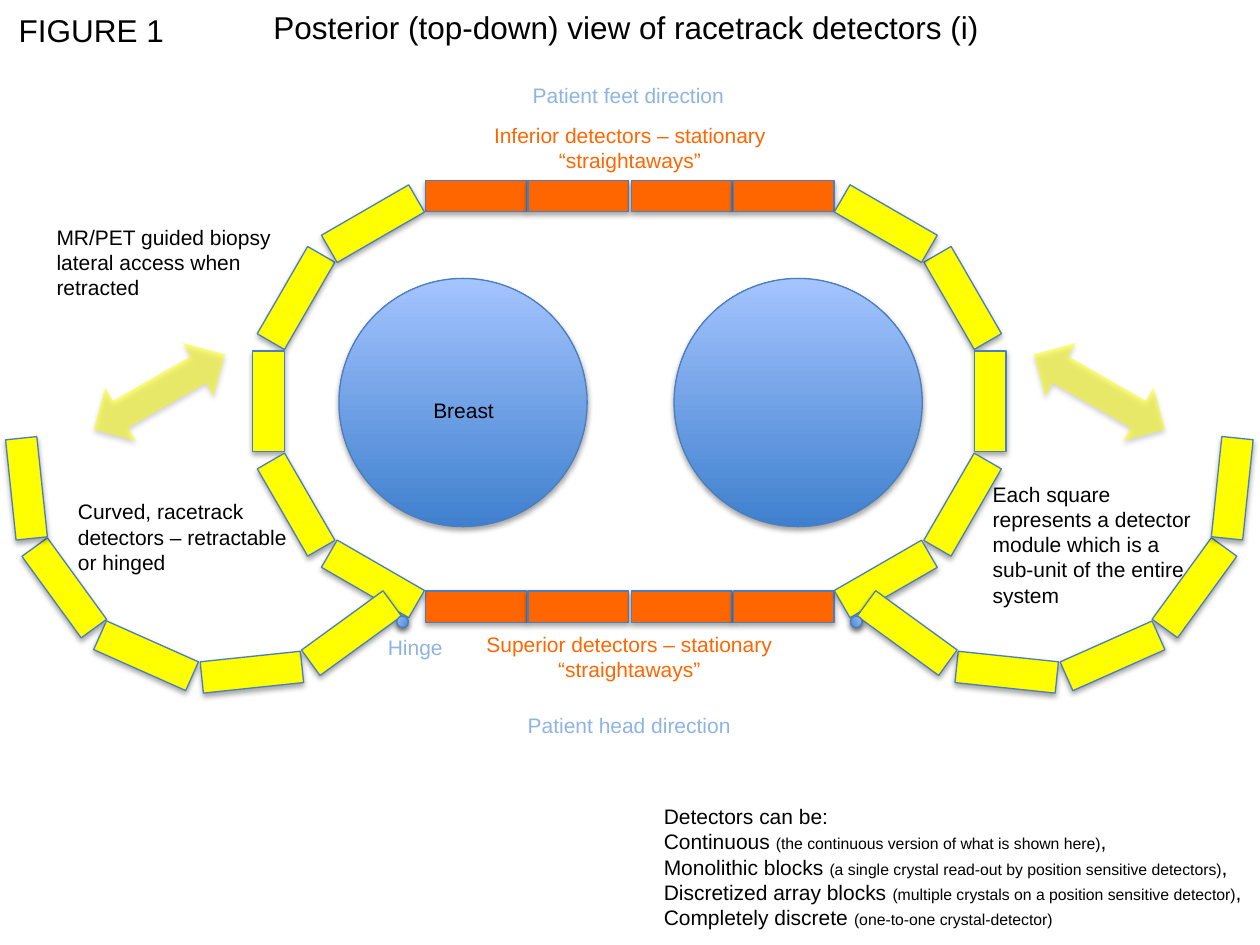
from lxml.etree import SubElement
from pptx import Presentation
from pptx.dml.color import RGBColor
from pptx.enum.shapes import MSO_SHAPE
from pptx.enum.text import MSO_ANCHOR, MSO_AUTO_SIZE, PP_ALIGN
from pptx.oxml import parse_xml
from pptx.oxml.ns import nsdecls, qn
from pptx.util import Pt

PX = 9144  # 100 px to the inch
WIDE = 999  # left and right halves mirror within this width
ORANGE, YELLOW, BLUE, BLACK = "FF6600", "FFFF00", "8EB4E3", "000000"
EDGE, DARK, LIGHT = "4B7EBC", "3F80CE", "A4C4FF"
BAR = (80, 25)
SHADOW = (
    f'<a:effectLst {nsdecls("a")}><a:outerShdw blurRad="40000" dist="23000" '
    'dir="5400000" rotWithShape="0"><a:srgbClr val="000000">'
    '<a:alpha val="35000"/></a:srgbClr></a:outerShdw></a:effectLst>'
)

prs = Presentation()
prs.slide_width, prs.slide_height = 1000 * PX, 750 * PX
slide = prs.slides.add_slide(prs.slide_layouts[5])
rgb = RGBColor.from_string


def draw(kind, x, y, w, h, turn=0, fill=None, clear=False):
    """Add a shadowed shape; without a fill colour it gets the blue gradient."""
    shape = slide.shapes.add_shape(kind, x * PX, y * PX, w * PX, h * PX)
    shape.rotation = turn % 360
    if fill:
        shape.fill.solid()
        shape.fill.fore_color.rgb = rgb(fill)
    else:
        shape.fill.gradient()
        shape.fill.gradient_angle = 90
        for stop, shade in zip(shape.fill.gradient_stops, (DARK, LIGHT)):
            stop.color.rgb = rgb(shade)
    if clear:
        tint = shape.fill._xPr.find(qn("a:solidFill"))[0]
        SubElement(tint, qn("a:alpha")).set("val", "50000")
        shape.line.fill.background()
    else:
        shape.line.color.rgb = rgb(EDGE)
        shape.line.width = Pt(0.75)
    shape._element.spPr.append(parse_xml(SHADOW))


def write(text, x, y, w, h, size=12, color=BLACK, align=PP_ALIGN.LEFT,
          wrap=False, box=None):
    """Write lines of text; a part between bars is set at 9 points."""
    box = box or slide.shapes.add_textbox(0, 0, 0, 0)
    box.left, box.top, box.width, box.height = x * PX, y * PX, w * PX, h * PX
    frame = box.text_frame
    frame.word_wrap = wrap
    frame.auto_size = MSO_AUTO_SIZE.SHAPE_TO_FIT_TEXT
    frame.vertical_anchor = MSO_ANCHOR.TOP
    for i, line in enumerate(text.split("\n")):
        para = frame.add_paragraph() if i else frame.paragraphs[0]
        para.alignment = align
        for j, part in enumerate(line.split("|")):
            if part:
                run = para.add_run()
                run.text = part
                run.font.name = "Arial"
                run.font.size = Pt(9 if j % 2 else size)
                run.font.color.rgb = rgb(color)


# Title
write("Posterior (top-down) view of racetrack detectors (i)",
      207, 1, 586, 40, size=18, box=slide.shapes.title)

# Straightaways: two rows of four modules
for y in (143, 469):
    for x in (338, 419, 501, 582):
        draw(MSO_SHAPE.RECTANGLE, x, y, *BAR, fill=ORANGE)

# Curved arms, closed and swung open: left, top, turn of each module
closed = [(195, 224, 300), (173, 306, 90), (256, 165, 330),
          (195, 388, 60), (256, 447, 30)]
swung = [(11, 454, 234), (76, 508, 24), (-19, 375, 264),
         (160, 521, 354), (239, 490, 324)]
for right in (False, True):
    sign = -1 if right else 1
    # Motion arrow
    x = WIDE - 49 - 102 if right else 102
    draw(MSO_SHAPE.UP_DOWN_ARROW, x, 251, 49, 120, turn=sign * 240.2,
         fill=YELLOW, clear=True)
    # Modules, then the hinge of each arm
    for arm, tilt in ((closed, 0), (swung, 294)):
        for x, y, turn in arm:
            x = WIDE - BAR[0] - x if right else x
            draw(MSO_SHAPE.RECTANGLE, x, y, *BAR, turn=sign * turn, fill=YELLOW)
        x = WIDE - 9 - 315 if right else 315
        draw(MSO_SHAPE.OVAL, x, 489, 9, 9, turn=sign * tilt)

# Breasts
for x in (269, 535):
    draw(MSO_SHAPE.OVAL, x, 221, 197, 197)

# Labels
write("FIGURE 1", 5, 4, 137, 40, size=18)
write("Inferior detectors – stationary\n“straightaways”", 381, 92, 238, 50,
      color=ORANGE, align=PP_ALIGN.CENTER)
write("Superior detectors – stationary\n“straightaways”", 375, 496, 249, 50,
      color=ORANGE, align=PP_ALIGN.CENTER)
write("Patient feet direction", 413, 61, 174, 30, color=BLUE)
write("Patient head direction", 409, 561, 183, 30, color=BLUE)
write("Hinge", 298, 499, 64, 30, color=BLUE)
write("Breast", 334, 311, 69, 30)

# Notes around the ring
write("MR/PET guided biopsy\nlateral access when\nretracted", 35, 173, 192, 71)
write("Curved, racetrack\ndetectors – retractable\nor hinged", 52, 391, 189, 71)
write("Each square represents a detector module which is a sub-unit of the "
      "entire system", 778, 377, 189, 111, wrap=True)
write("Detectors can be:\n"
      "Continuous |(the continuous version of what is shown here)|,\n"
      "Monolithic blocks |(a single crystal read-out by position sensitive "
      "detectors)|,\n"
      "Discretized array blocks |(multiple crystals on a position sensitive "
      "detector)|,\n"
      "Completely discrete |(one-to-one crystal-detector)",
      517, 633, 483, 111)

prs.save("out.pptx")
